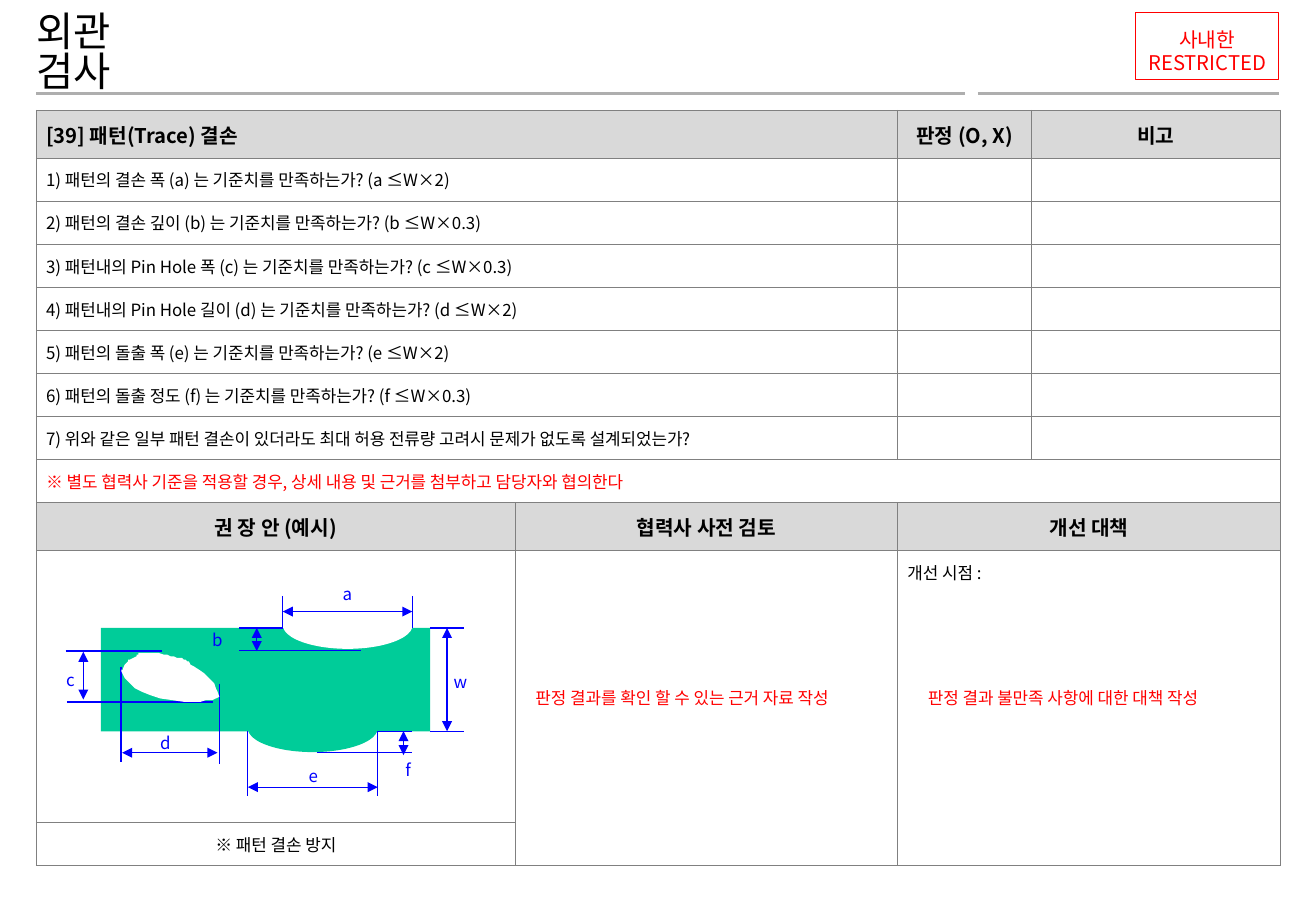
"""Builds the visual inspection checklist slide for trace defects."""
from lxml import etree
from pptx import Presentation
from pptx.dml.color import RGBColor
from pptx.enum.shapes import MSO_CONNECTOR, MSO_SHAPE
from pptx.enum.text import MSO_ANCHOR, PP_ALIGN
from pptx.oxml.ns import qn
from pptx.util import Pt

LEFT, CENTER = PP_ALIGN.LEFT, PP_ALIGN.CENTER
TOP, MIDDLE = MSO_ANCHOR.TOP, MSO_ANCHOR.MIDDLE
RECTANGLE, OVAL = MSO_SHAPE.RECTANGLE, MSO_SHAPE.OVAL
STRAIGHT = MSO_CONNECTOR.STRAIGHT
FONT = "Noto Sans CJK KR"
COLORS = {"text": "000000", "alert": "FF0000", "dimension": "0000FF", "trace": "00CC99",
          "paper": "FFFFFF", "header": "D9D9D9", "border": "808080", "rule": "AEAEAE"}


def color(name):
    return RGBColor.from_string(COLORS[name])


def bezier(start, first, second, end, steps=8):
    points = []
    for step in range(1, steps + 1):
        t = step / steps
        weights = ((1 - t) ** 3, 3 * t * (1 - t) ** 2, 3 * t * t * (1 - t), t ** 3)
        points.append(tuple(sum(w * p[axis] for w, p in zip(weights, (start, first, second, end)))
                            for axis in (0, 1)))
    return points


class Sheet:
    def __init__(self, width, height):
        self.deck = Presentation()
        self.deck.slide_width, self.deck.slide_height = Pt(width), Pt(height)
        self.page = self.deck.slides.add_slide(self.deck.slide_layouts[6])
        self.shapes = self.page.shapes

    def start_group(self):
        self.shapes = self.page.shapes.add_group_shape().shapes

    def end_group(self):
        self.shapes = self.page.shapes

    def span(self, para, text, size, ink="text", bold=False, align=LEFT):
        para.alignment = align
        span = para.add_run()
        span.text = text
        span.font.size, span.font.bold, span.font.name = Pt(size), bold, FONT
        span.font.color.rgb = color(ink)
        etree.SubElement(span.font._element, qn("a:ea"), typeface=FONT)

    def frame(self, box, insets, anchor=MIDDLE, wrap=True):
        frame = box.text_frame
        frame.word_wrap, frame.vertical_anchor = wrap, anchor
        frame.margin_left = frame.margin_right = Pt(insets[0])
        frame.margin_top = frame.margin_bottom = Pt(insets[1])
        return frame

    def text(self, x, y, width, height, text, size, ink="text", align=LEFT, insets=(0, 0), spacing=None):
        box = self.shapes.add_textbox(Pt(x), Pt(y), Pt(width), Pt(height))
        para = self.frame(box, insets).paragraphs[0]
        para.line_spacing = spacing
        self.span(para, text, size, ink, align=align)

    def fill(self, shape, fill):
        shape.shadow.inherit = False
        if fill:
            shape.fill.solid()
            shape.fill.fore_color.rgb = color(fill)
        else:
            shape.fill.background()
        shape.line.fill.background()

    def shape(self, kind, x, y, width, height, fill=None):
        shape = self.shapes.add_shape(kind, Pt(x), Pt(y), Pt(width), Pt(height))
        self.fill(shape, fill)
        return shape

    def outline(self, points, fill):
        builder = self.shapes.build_freeform(*points[0], scale=Pt(1))
        builder.add_line_segments(points[1:], close=True)
        self.fill(builder.convert_to_shape(), fill)

    def line(self, x1, y1, x2, y2, ink, width, arrows=False):
        line = self.shapes.add_connector(STRAIGHT, Pt(x1), Pt(y1), Pt(x2), Pt(y2))
        line.line.color.rgb, line.line.width = color(ink), Pt(width)
        if arrows:
            for end in ("a:headEnd", "a:tailEnd"):
                etree.SubElement(line.line._get_or_add_ln(), qn(end), type="triangle")
        etree.SubElement(line._element.spPr, qn("a:effectLst"))

    def table(self, x, y, columns, rows):
        frame = self.shapes.add_table(len(rows), len(columns), Pt(x), Pt(y),
                                      Pt(sum(columns)), Pt(sum(rows)))
        table = frame.table
        table.first_row = table.horz_banding = False
        for column, width in zip(table.columns, columns):
            column.width = Pt(width)
        for row, height in zip(table.rows, rows):
            row.height = Pt(height)
        for cell in table.iter_cells():
            self.style_cell(cell)
        return table

    def style_cell(self, cell):
        cell.margin_left = cell.margin_right = Pt(5.76)
        cell.margin_top = cell.margin_bottom = Pt(4)
        cell.vertical_anchor = MIDDLE
        cell.fill.background()
        properties = cell._tc.get_or_add_tcPr()
        for index, side in enumerate(("a:lnL", "a:lnR", "a:lnT", "a:lnB")):
            border = etree.Element(qn(side), w=str(Pt(0.75)))
            paint = etree.SubElement(border, qn("a:solidFill"))
            etree.SubElement(paint, qn("a:srgbClr"), val=COLORS["border"])
            properties.insert(index, border)
        etree.SubElement(cell.text_frame.paragraphs[0]._p, qn("a:endParaRPr"), sz="1000")

    def cell(self, cell, text, size=10, ink="text", align=LEFT, header=False):
        self.span(cell.text_frame.paragraphs[0], text, size, ink, header, align)
        if header:
            cell.fill.solid()
            cell.fill.fore_color.rgb = color("header")


QUESTIONS = [
    "1) 패턴의 결손 폭 (a) 는 기준치를 만족하는가? (a ≤W×2)",
    "2) 패턴의 결손 깊이 (b) 는 기준치를 만족하는가? (b ≤W×0.3)",
    "3) 패턴내의 Pin Hole 폭 (c) 는 기준치를 만족하는가? (c ≤W×0.3)",
    "4) 패턴내의 Pin Hole 길이 (d) 는 기준치를 만족하는가? (d ≤W×2)",
    "5) 패턴의 돌출 폭 (e) 는 기준치를 만족하는가? (e ≤W×2)",
    "6) 패턴의 돌출 정도 (f) 는 기준치를 만족하는가? (f ≤W×0.3)",
    "7) 위와 같은 일부 패턴 결손이 있더라도 최대 허용 전류량 고려시 문제가 없도록 설계되었는가?",
]
HEADERS = [(0, 0, "[39] 패턴(Trace) 결손", LEFT), (0, 2, "판정 (O, X)", CENTER), (0, 3, "비고", CENTER),
           (9, 0, "권 장 안 (예시)", CENTER), (9, 1, "협력사 사전 검토", CENTER), (9, 2, "개선 대책", CENTER)]
MERGES = [((row, 0), (row, 1)) for row in range(8)] + [
    ((8, 0), (8, 3)), ((9, 2), (9, 3)), ((10, 1), (11, 1)), ((10, 2), (11, 3))]
GUIDES = [(254.9, 433.4, 275, 433.4), (254.9, 372.2, 275, 372.2), (39.6, 416.2, 126, 416.2),
          (38.9, 385.9, 95.8, 385.9), (167.6, 353.2, 167.6, 372.2), (244.4, 353.2, 244.4, 372.2),
          (71.8, 395.3, 71.8, 451.4), (130.3, 405.4, 130.3, 452.6), (146.9, 433.4, 146.9, 471.6),
          (223.9, 433.4, 223.9, 471.6), (141.8, 385.4, 213.8, 385.4), (141.8, 372.2, 167.6, 372.2),
          (223.9, 433.4, 244.4, 433.4), (187.9, 446.2, 244.4, 446.2)]
DIMENSIONS = [("w", (265, 372.2, 265, 433.4), (259.9, 396)), ("a", (167.6, 362.5, 244.4, 362.5), (193, 343.4)),
              ("c", (49.4, 386.4, 49.4, 414.7), (28.8, 394.6)), ("d", (72.4, 446.2, 128.9, 446.2), (85, 432)),
              ("e", (146.9, 466.6, 223.9, 466.6), (172.8, 451.4)), ("b", (152.2, 372.2, 152.2, 386), (115.9, 370.8)),
              ("f", (239.2, 447.6, 239.2, 433.4), (229, 447.8))]
PIN_HOLE_CURVES = [((74.2, 392.4), (77, 390.2), (73.4, 396)), ((72.7, 396.7), (72, 398.2), (72, 398.2)),
                   ((76.3, 408.2), (87.8, 413.3), (109.4, 416.2)), ((119.5, 415.4), (124.6, 416.2), (130.3, 412.6)),
                   ((128.2, 405.4), (123.1, 400.3), (115.2, 395.3)), ((108, 390.2), (113, 391), (105.1, 390.2)),
                   ((99.4, 387.4), (94.3, 387.4), (87.1, 386.6)), ((81.4, 387.4), (82.8, 386.6), (80.6, 388.8))]


def draw_heading(sheet):
    for start, end in ((21.6, 571.7), (579.6, 758.2)):
        sheet.line(start, 55.4, end, 55.4, "rule", 2)
    badge = sheet.shape(RECTANGLE, 673.2, 7.6, 84.6, 39.6)
    badge.line.color.rgb, badge.line.width = color("alert"), Pt(0.75)
    frame = sheet.frame(badge, (6.48, 3.6), TOP, False)
    for text, spacing, before in (("사내한", 1.35, 0), ("RESTRICTED", 0.45, 6)):
        para = frame.add_paragraph() if before else frame.paragraphs[0]
        para.line_spacing, para.space_before = spacing, Pt(before)
        sheet.span(para, text, 12, "alert", align=CENTER)
    sheet.text(21.6, 18, 80, 28.8, "외관 검사", 24, spacing=0.82)


def draw_checklist(sheet):
    table = sheet.table(21.6, 65.5, [283.7, 226.8, 79.2, 147.6], [28.2] + [25.56] * 8 + [28.2, 161.3, 25.56])
    for first, last in MERGES:
        table.cell(*first).merge(table.cell(*last))
    for row, column, text, align in HEADERS:
        sheet.cell(table.cell(row, column), text, 12, align=align, header=True)
    for row, question in enumerate(QUESTIONS, 1):
        sheet.cell(table.cell(row, 0), question)
    sheet.cell(table.cell(8, 0), "※ 별도 협력사 기준을 적용할 경우, 상세 내용 및 근거를 첨부하고 담당자와 협의한다", ink="alert")
    timing = table.cell(10, 2)
    timing.vertical_anchor, timing.margin_top = TOP, Pt(5.76)
    sheet.cell(timing, "개선 시점 :")
    sheet.cell(table.cell(11, 0), "※ 패턴 결손 방지", align=CENTER)


def draw_trace(sheet):
    sheet.start_group()
    sheet.shape(RECTANGLE, 59.8, 372.2, 195.1, 61.4, "trace")
    sheet.shape(OVAL, 167.6, 356.4, 77, 28.2, "paper")
    sheet.shape(OVAL, 146.9, 417.6, 77, 28.2, "trace")
    for guide in GUIDES:
        sheet.line(*guide, "dimension", 0.75)
    for letter, arrow, corner in DIMENSIONS:
        sheet.line(*arrow, "dimension", 0.75, True)
        sheet.text(*corner, 25.9, 16.6, letter, 10, "dimension", CENTER, (4.3, 2.2))
    points = [(80.6, 388.8)]
    for curve in PIN_HOLE_CURVES:
        points += bezier(points[-1], *curve)
    sheet.outline(points, "paper")
    sheet.end_group()


def main():
    sheet = Sheet(780, 540)
    draw_heading(sheet)
    draw_checklist(sheet)
    draw_trace(sheet)
    for x, width, text in ((310.3, 215.3, "판정 결과를 확인 할 수 있는 근거 자료 작성"),
                           (542.9, 203.8, "판정 결과 불만족 사항에 대한 대책 작성")):
        sheet.text(x, 403.9, width, 19.4, text, 10, "alert", insets=(7.2, 3.6))
    sheet.deck.save("out.pptx")


if __name__ == "__main__":
    main()
